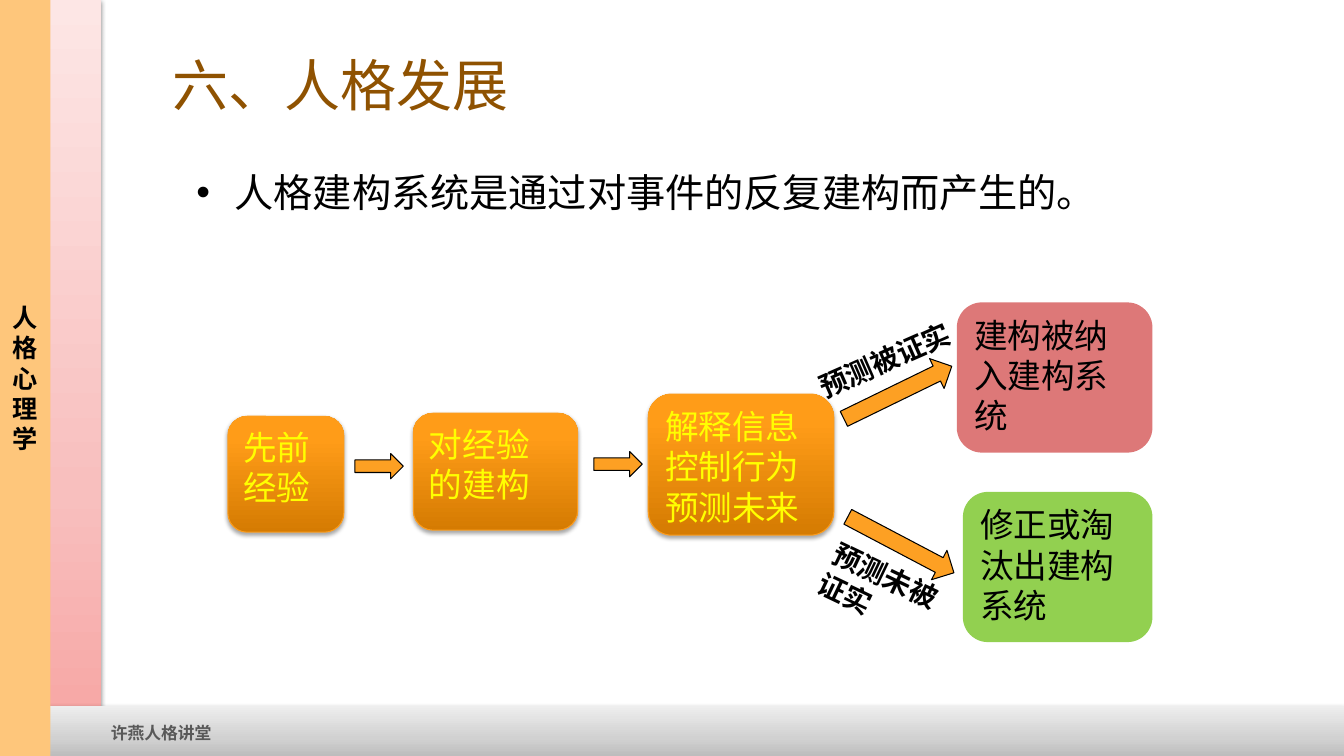
from lxml.etree import SubElement
from pptx import Presentation
from pptx.dml.color import RGBColor
from pptx.enum.shapes import MSO_SHAPE as Shape
from pptx.enum.text import MSO_ANCHOR as Anchor, MSO_AUTO_SIZE as AutoSize, PP_ALIGN as Align
from pptx.oxml.ns import qn
from pptx.util import Inches, Pt

PINK = [(0, "F7A3A1"), (35, "F8BFBE"), (100, "FDE6E5")]
GREY = [(0, "BDBDBD"), (35, "D1D1D1"), (100, "EEEEEE")]
ORANGE = [(0, "D57B02"), (80, "FF9C18"), (100, "FF9D19")]
CJK = "Noto Sans CJK SC"


def rgb(code):
    return RGBColor.from_string(code)


def element(parent, tag, **attributes):
    return SubElement(parent, qn(tag), {key: str(value) for key, value in attributes.items()})


def set_gradient(shape, stops):
    shape.fill.gradient()
    gradient = shape.element.spPr.find(qn("a:gradFill"))
    for child in list(gradient):
        gradient.remove(child)
    stop_list = element(gradient, "a:gsLst")
    for position, color in stops:
        stop = element(stop_list, "a:gs", pos=position * 1000)
        element(stop, "a:srgbClr", val=color)
    element(gradient, "a:lin", ang=270 * 60000, scaled=0)


def set_shadow(shape, opacity, distance):
    effects = shape.element.spPr.find(qn("a:effectLst"))
    shadow = element(effects, "a:outerShdw", blurRad=Pt(3.1), dist=Pt(distance),
                     dir=90 * 60000, rotWithShape=0)
    color = element(shadow, "a:srgbClr", val="000000")
    element(color, "a:alpha", val=opacity * 1000)


def add_block(slide, kind, box, fill, line=None):
    block = slide.shapes.add_shape(kind, *map(Inches, box))
    block.shadow.inherit = False
    if isinstance(fill, list):
        set_gradient(block, fill)
    else:
        block.fill.solid()
        block.fill.fore_color.rgb = rgb(fill)
    if line:
        block.line.color.rgb = rgb(line)
        block.line.width = Pt(0.75)
    else:
        block.line.fill.background()
    return block


def write(shape, text, size, color, font, bold=False, anchor=Anchor.TOP, align=Align.LEFT):
    frame = shape.text_frame
    frame.word_wrap = True
    frame.vertical_anchor = anchor
    frame.text = text
    for paragraph in frame.paragraphs:
        paragraph.alignment = align
        for run in paragraph.runs:
            run.font.size = Pt(size)
            run.font.bold = bold
            run.font.color.rgb = rgb(color)
            run.font.name = font
            element(run.font._element, "a:ea", typeface=font)
    return frame


def add_label(slide, box, text, size, color, font, **style):
    label = slide.shapes.add_textbox(*map(Inches, box))
    write(label, text, size, color, font, **style)
    return label


def add_frame(slide, width, height):
    bar = 0.5
    for box, stops in [((bar, 0, bar, height), PINK), ((0, height - bar, width, bar), GREY)]:
        set_shadow(add_block(slide, Shape.RECTANGLE, box, stops), 38, 1.6)
    course = add_block(slide, Shape.RECTANGLE, (0, 0, bar, height), "FEC67B")
    write(course, "人格心理学", 18, "000000", CJK, bold=True, anchor=Anchor.MIDDLE, align=Align.CENTER)
    lecture = add_label(slide, (2 * bar, height - 0.38, 1.21, 0.3), "许燕人格讲堂", 12, "595959", CJK, bold=True)
    lecture.text_frame.word_wrap = False
    lecture.text_frame.auto_size = AutoSize.SHAPE_TO_FIT_TEXT


def add_heading(slide, left, top):
    add_label(slide, (left, top, 10.65, 1.25), "六、人格发展", 40, "8F5201", "Arial", anchor=Anchor.MIDDLE)
    statement = add_label(slide, (left + 0.24, top + 1.41, 10.16, 0.74),
                          "人格建构系统是通过对事件的反复建构而产生的。", 28, "000000", "Arial")
    properties = statement.text_frame.paragraphs[0]._p.get_or_add_pPr()
    properties.set("marL", str(Inches(0.38)))
    properties.set("indent", str(Inches(-0.38)))
    before = element(properties, "a:spcBef")
    element(before, "a:spcPct", val=20000)
    element(properties, "a:buFont", typeface="Arial")
    element(properties, "a:buChar", char="•")


def add_arrow(slide, box, rotation=0):
    arrow = add_block(slide, Shape.RIGHT_ARROW, box, "FDA023", "000000")
    arrow.rotation = rotation


def add_process(slide, left, top):
    stages = [
        (0, 0.22, 1.15, 1.15, "先前经验"),
        (1.84, 0.19, 1.63, 1.16, "对经验\n的建构"),
        (4.17, 0, 1.84, 1.4, "解释信息\n控制行为\n预测未来"),
    ]
    for x, y, width, height, text in stages:
        stage = add_block(slide, Shape.ROUNDED_RECTANGLE, (left + x, top + y, width, height), ORANGE, "FD9D1D")
        set_shadow(stage, 35, 1.8)
        write(stage, text, 24, "FFFF00", "Karla")
    for x, y in [(1.26, 0.59), (3.63, 0.57)]:
        add_arrow(slide, (left + x, top + y, 0.48, 0.25))


def add_outcomes(slide, left, top):
    confirmed = add_block(slide, Shape.ROUNDED_RECTANGLE, (left + 1.51, top, 1.94, 1.49), "C00000")
    color = confirmed.element.spPr.find(qn("a:solidFill"))[0]
    element(color, "a:alpha", val=53000)
    revised = add_block(slide, Shape.ROUNDED_RECTANGLE, (left + 1.57, top + 1.88, 1.88, 1.49), "92D050")
    write(confirmed, "建构被纳入建构系统", 24, "000000", "Karla")
    write(revised, "修正或淘汰出建构系统", 24, "000000", "Karla")
    add_arrow(slide, (left + 0.33, top + 0.73, 1.19, 0.33), 334)
    add_arrow(slide, (left + 0.36, top + 2.24, 1.19, 0.33), 27.8)
    for x, y, height, rotation, text in [
        (0, 0.34, 0.44, 336.3, "预测被证实"),
        (0.06, 2.55, 0.77, 25.6, "预测未被\n证实"),
    ]:
        label = add_label(slide, (left + x, top + y, 1.66, height), text, 20, "000000", "Karla", bold=True)
        label.rotation = rotation


def main():
    deck = Presentation()
    deck.slide_width, deck.slide_height = Inches(13.33), Inches(7.5)
    slide = deck.slides.add_slide(deck.slide_layouts[6])
    add_frame(slide, 13.33, 7.5)
    add_heading(slide, 1.61, 0.21)
    add_process(slide, 2.26, 3.91)
    add_outcomes(slide, 7.98, 3)
    deck.save("out.pptx")


if __name__ == "__main__":
    main()
